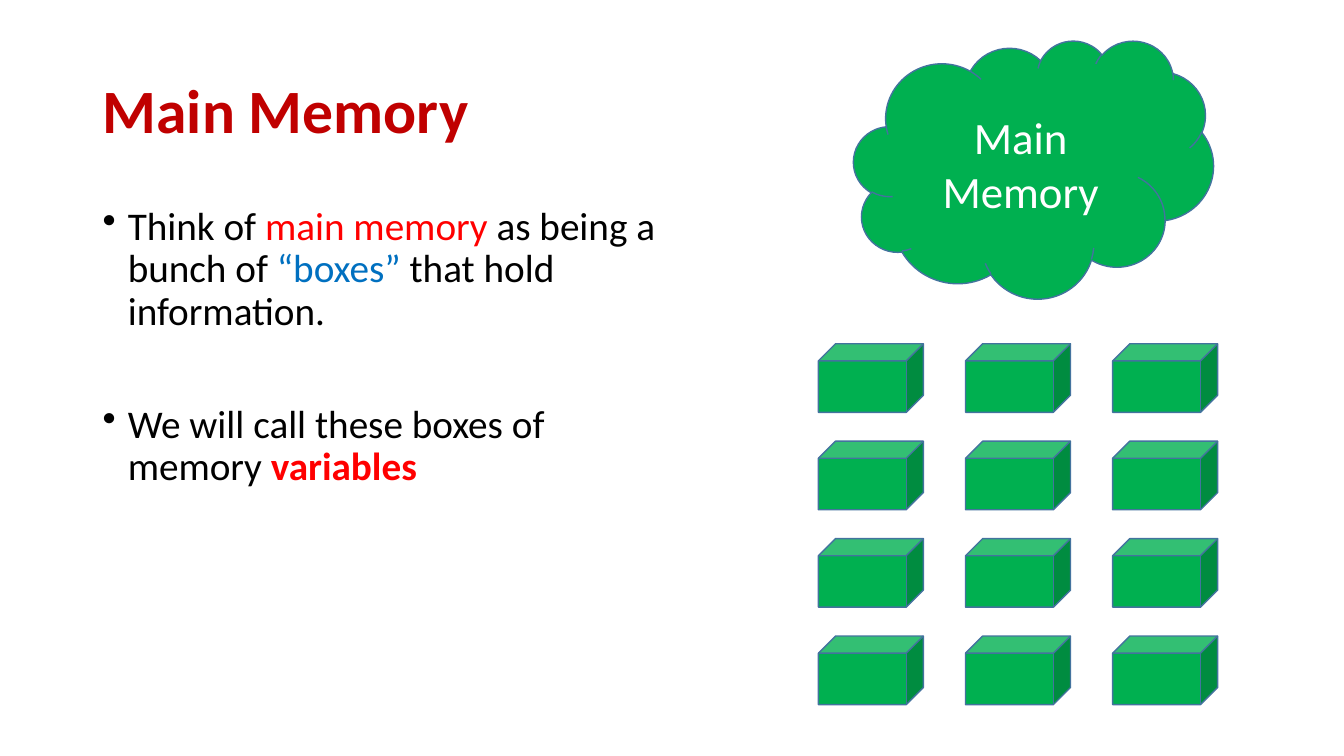
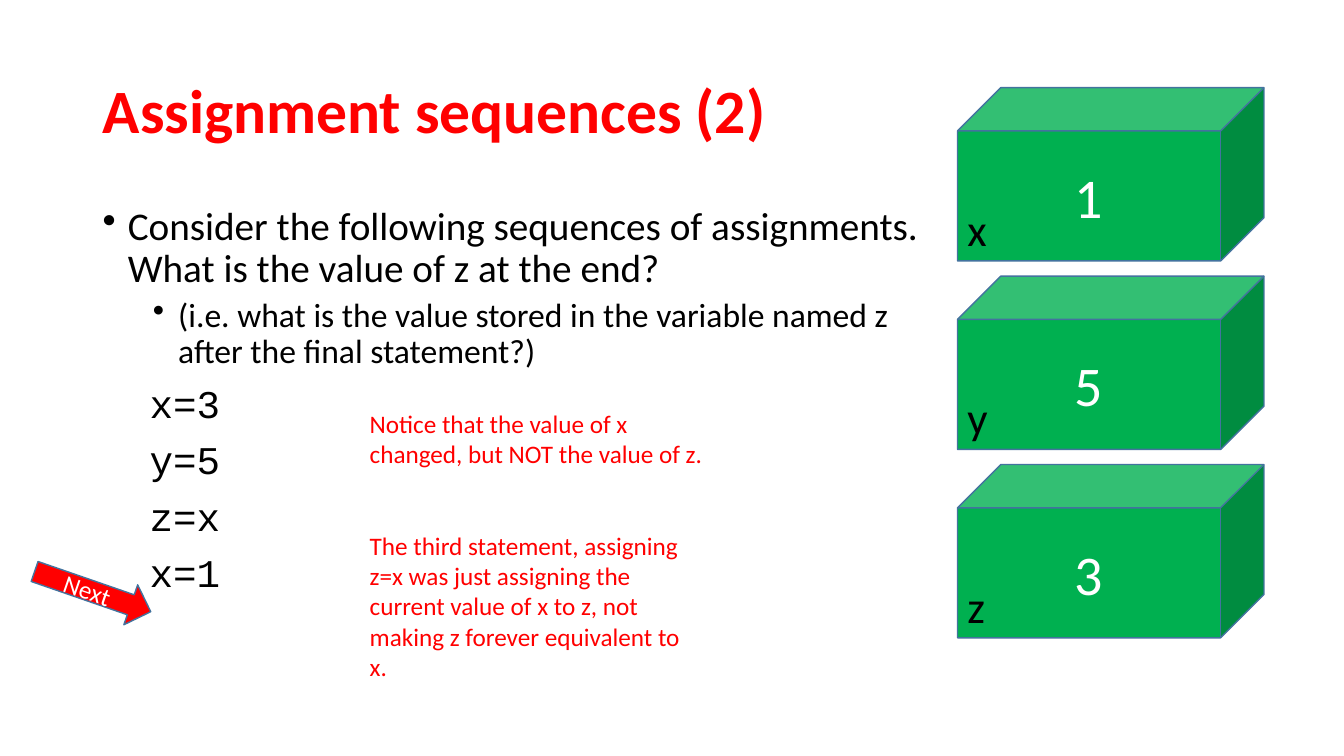
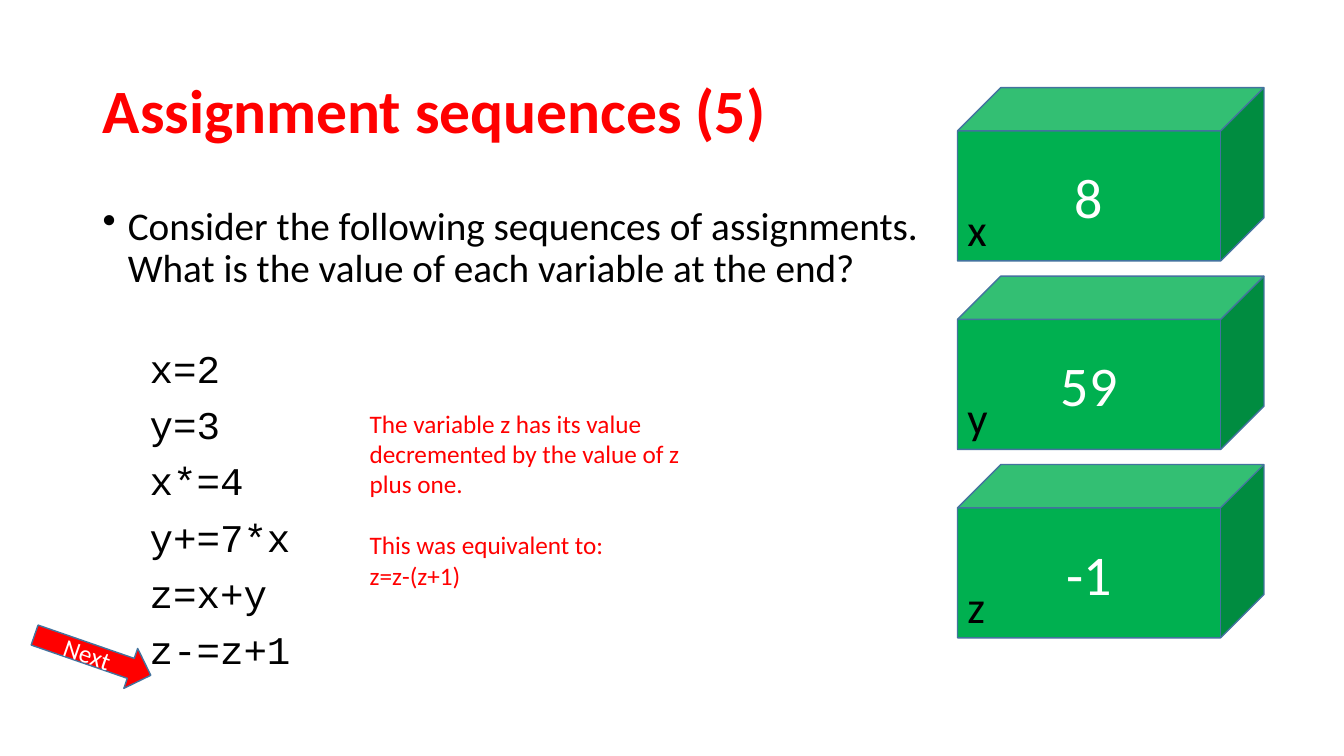
from pptx import Presentation
from pptx.dml.color import RGBColor
from pptx.enum.shapes import MSO_SHAPE
from pptx.enum.text import MSO_ANCHOR, PP_ALIGN
from pptx.oxml.ns import qn
from pptx.util import Pt

CLOUD, CUBE, ARROW = MSO_SHAPE.CLOUD, MSO_SHAPE.CUBE, MSO_SHAPE.RIGHT_ARROW
MIDDLE = MSO_ANCHOR.MIDDLE
LEFT, CENTER = PP_ALIGN.LEFT, PP_ALIGN.CENTER
GREEN, EDGE, RED, DARK = "00B050", "43739E", "FF0000", "C00000"
BLACK, WHITE, BLUE = "000000", "FFFFFF", "0070C0"
SANS, MONO = "Calibri", "Courier New"


def write(frame, runs, size, font=SANS, align=LEFT, lead=1.0, gap=0,
          margin=0, bullet=False):
    """Add one paragraph of (text, colour, bold) runs to a text frame."""
    para = frame.add_paragraph() if frame.text else frame.paragraphs[0]
    para.alignment, para.line_spacing, para.space_before = align, lead, Pt(gap)
    props = para._p.get_or_add_pPr()
    props.set("marL", str(Pt(margin)))
    props.set("indent", str(Pt(-18 if bullet else 0)))
    if bullet:
        props.makeelement(qn("a:buChar"), {})
        mark = props.makeelement(qn("a:buChar"), {"char": "•"})
        props.append(mark)
    for text, color, bold in runs:
        run = para.add_run()
        run.text = text
        run.font.name, run.font.size, run.font.bold = font, Pt(size), bold
        run.font.color.rgb = RGBColor.from_string(color)


def block(slide, kind, box, fill=GREEN, label="", size=18):
    """Add a filled, outlined shape with a centred white label."""
    shape = slide.shapes.add_shape(kind, *map(Pt, box))
    shape.shadow.inherit = False
    shape.fill.solid()
    shape.fill.fore_color.rgb = RGBColor.from_string(fill)
    shape.line.color.rgb = RGBColor.from_string(EDGE)
    shape.line.width = Pt(1)
    if label:
        shape.text_frame.vertical_anchor = MIDDLE
        write(shape.text_frame, [(label, WHITE, False)], size, align=CENTER)
    return shape


deck = Presentation()
deck.slide_width, deck.slide_height = Pt(960), Pt(540)

# Each body line: runs, size, font, space before, left margin, bullet
ask = "Consider the following sequences of assignments.  What is the value of "
pages = [
    ("Main Memory", DARK, 417, [
        ([("Think of ", BLACK, False), ("main memory ", RED, False),
          ("as being a bunch of ", BLACK, False), ("“boxes” ", BLUE, False),
          ("that hold information.", BLACK, False)], 28, SANS, 10, 18, True),
        ([("We will call these boxes of memory ", BLACK, False),
          ("variables", RED, True)], 28, SANS, 50.8, 18, True)]),
    ("Assignment sequences (2)", RED, 603.4, [
        ([(ask + "z at the end?", BLACK, False)], 28, SANS, 10, 18, True),
        ([("(i.e. what is the value stored in the variable named z "
           "after the final statement?)", BLACK, False)],
         24, SANS, 5, 54, True)]),
    ("Assignment sequences (5)", RED, 603.4, [
        ([(ask + "each variable at the end?", BLACK, False)],
         28, SANS, 10, 18, True)]),
]

# Code lines, space above them, arrow top, box values, notes with space before
steps = [
    (["x=3", "y=5", "z=x", "x=1"], 10, 407.5, ["1", "5", "3"],
     [("Notice that the value of x changed, but NOT the value of z.", 0),
      ("The third statement, assigning z=x was just assigning the current "
       "value of x to z, not making z forever equivalent to x.", 43.9)]),
    (["x=2", "y=3", "x*=4", "y+=7*x", "z=x+y", "z-=z+1"], 41.4, 452.9,
     ["8", "59", "-1"],
     [("The variable z has its value decremented by the value of z plus one.",
       0),
      ("This was equivalent to:", 22), ("z=z-(z+1)", 0)]),
]
for page, (code, above, *_) in zip(pages[1:], steps):
    for row, line in enumerate(code):
        page[3].append(([(line, BLACK, False)], 28, MONO,
                        10 if row else above, 33.6, False))

# Titles and body text
slides = []
for name, color, width, lines in pages:
    slide = deck.slides.add_slide(deck.slide_layouts[5])
    slides.append(slide)
    title = slide.shapes.title
    title.left, title.top = Pt(66.2), Pt(28.8)
    title.width, title.height = Pt(828), Pt(104.4)
    title.text_frame.vertical_anchor = MIDDLE
    write(title.text_frame, [(name, color, True)], 44, lead=0.9)
    body = slide.shapes.add_textbox(Pt(66.2), Pt(144), Pt(width), Pt(342.7))
    body.text_frame.word_wrap = True
    for runs, size, font, gap, margin, bullet in lines:
        write(body.text_frame, runs, size, font, lead=0.9, gap=gap,
              margin=margin, bullet=bullet)

# Memory cloud above a grid of boxes
block(slides[0], CLOUD, (609.8, 28.8, 257, 184.3), label="Main Memory", size=32)
for row in range(4):
    for col in range(3):
        block(slides[0], CUBE,
              (584.6 + 105.1 * col, 245.5 + 69.6 * row, 75, 49))

# Variables, step arrow and notes
for slide, (code, above, top, values, notes) in zip(slides[1:], steps):
    arrow = block(slide, ARROW, (22.3, top, 87.8, 30.2), RED, "Next")
    arrow.rotation = 19.1
    for row, (name, value) in enumerate(zip("xyz", values)):
        y = 62.6 + 134.6 * row
        block(slide, CUBE, (684, y, 218.9, 123.8), label=value, size=40)
        tag = slide.shapes.add_textbox(Pt(684), Pt(y + 77.8), Pt(28.8), Pt(46))
        tag.text_frame.word_wrap = False
        write(tag.text_frame, [(name, BLACK, False)], 32)
    note = slide.shapes.add_textbox(Pt(257), Pt(288), Pt(252), Pt(204))
    note.text_frame.word_wrap = True
    for text, gap in notes:
        write(note.text_frame, [(text, RED, False)], 18, gap=gap)

deck.save("out.pptx")
